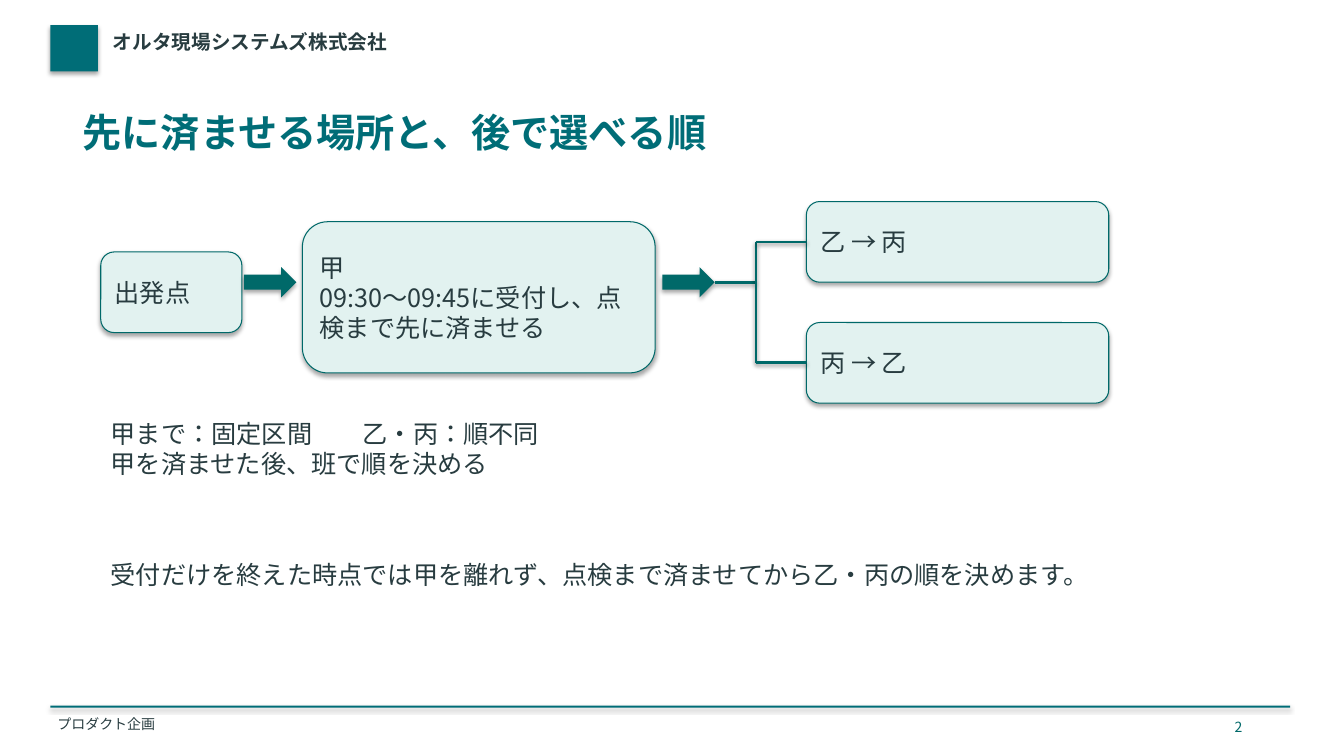
import pptx
import pptx.util
import pptx.dml.color
import pptx.enum.lang
import pptx.enum.shapes
import pptx.enum.text
import lxml.etree

Pt = pptx.util.Pt
SHAPE = pptx.enum.shapes.MSO_SHAPE
ANCHOR = pptx.enum.text.MSO_ANCHOR
STRAIGHT = pptx.enum.shapes.MSO_CONNECTOR.STRAIGHT
FACE = "Noto Sans CJK JP"
NS = "{http://schemas.openxmlformats.org/drawingml/2006/main}"
TEAL, GREEN, MINT, INK = "006D77", "006969", "E2F2F0", "283C40"


def paint(target, tone):
    """Give a fill, or the fill of a line or font, a solid colour."""
    target.solid()
    target.fore_color.rgb = pptx.dml.color.RGBColor.from_string(tone)


def write(shape, lines, size, tone=INK, bold=False, inset=None, anchor=ANCHOR.TOP):
    """Fill a shape with left-aligned text, one paragraph per line."""
    frame = shape.text_frame
    frame.word_wrap = True
    frame.auto_size = pptx.enum.text.MSO_AUTO_SIZE.NONE
    frame.vertical_anchor = anchor
    if inset is not None:
        frame.margin_left = frame.margin_right = Pt(inset)
        frame.margin_top = frame.margin_bottom = Pt(inset)
    for i, line in enumerate(lines):
        para = frame.add_paragraph() if i else frame.paragraphs[0]
        para.alignment = pptx.enum.text.PP_ALIGN.LEFT
        run = para.add_run()
        run.text = line
        font = run.font
        font.size, font.bold, font.name = Pt(size), bold, FACE
        font.language_id = pptx.enum.lang.MSO_LANGUAGE_ID.JAPANESE
        paint(font.fill, tone)
        lxml.etree.SubElement(run._r.rPr, NS + "ea", typeface=FACE)


deck = pptx.Presentation()
deck.slide_width, deck.slide_height = Pt(960), Pt(540)
slide = deck.slides.add_slide(deck.slide_layouts[5])
shapes = slide.shapes

# Brand mark and footer rule
for left, top, width, height in [(36, 18, 34, 33), (36, 504, 885.6, 1.44)]:
    bar = shapes.add_shape(SHAPE.RECTANGLE, Pt(left), Pt(top), Pt(width), Pt(height))
    paint(bar.fill, TEAL)
    bar.line.fill.background()

# Title
title = shapes.title
title.left, title.top, title.width, title.height = Pt(57.6), Pt(75.6), Pt(842.4), Pt(54)
write(title, ["先に済ませる場所と、後で選べる順"], 28, TEAL, True, 1.44)

# Header, footer, page number and notes under the flow
texts = [
    (79.2, 20.16, 720, 28.8, ["オルタ現場システムズ株式会社"], 14, INK, True, 1.44),
    (39.6, 509.76, 648, 15.84, ["プロダクト企画"], 10, INK, False, 1.44),
    (874.8, 509.76, 36, 15.84, ["2"], 10, GREEN, False, None),
    (72, 295.2, 792, 72, ["甲まで：固定区間\t乙・丙：順不同", "甲を済ませた後、班で順を決める"],
     18, INK, False, None),
    (72, 396, 792, 72,
     ["受付だけを終えた時点では甲を離れず、点検まで済ませてから乙・丙の順を決めます。"],
     18, INK, False, None),
]
for left, top, width, height, lines, size, tone, bold, inset in texts:
    box = shapes.add_textbox(Pt(left), Pt(top), Pt(width), Pt(height))
    write(box, lines, size, tone, bold, inset)
    if "\t" in lines[0]:
        props = box.text_frame.paragraphs[0]._p.get_or_add_pPr()
        tabs = lxml.etree.SubElement(props, NS + "tabLst")
        lxml.etree.SubElement(tabs, NS + "tab", pos=str(Pt(180)), algn="l")

# Places to visit
steps = [
    (72, 180, 100.8, 57.6, ["出発点"]),
    (216, 158.4, 252, 108, ["甲", "09:30〜09:45に受付し、点検まで先に済ませる"]),
    (576, 144, 216, 57.6, ["乙 → 丙"]),
    (576, 230.4, 216, 57.6, ["丙 → 乙"]),
]
cards = []
for left, top, width, height, lines in steps:
    card = shapes.add_shape(SHAPE.ROUNDED_RECTANGLE, Pt(left), Pt(top), Pt(width), Pt(height))
    paint(card.fill, MINT)
    paint(card.line.fill, GREEN)
    card.line.width = Pt(0.75)
    write(card, lines, 18, anchor=ANCHOR.MIDDLE)
    cards.append(card)

for left in (174.24, 473.04):
    arrow = shapes.add_shape(SHAPE.RIGHT_ARROW, Pt(left), Pt(190.8), Pt(37.44), Pt(21.6))
    paint(arrow.fill, GREEN)
    arrow.line.fill.background()

# Fork to the two orders
fork, high, low = 540, 172.8, 259.2
links = [
    (510.48, 201.6, fork, 201.6, None),
    (fork, high, fork, low, None),
    (fork, high, 576, high, cards[2]),
    (fork, low, 576, low, cards[3]),
]
for x1, y1, x2, y2, card in links:
    link = shapes.add_connector(STRAIGHT, Pt(x1), Pt(y1), Pt(x2), Pt(y2))
    paint(link.line.fill, GREEN)
    link.line.width = Pt(2)
    if card is not None:
        link.end_connect(card, 1)

deck.save("out.pptx")
